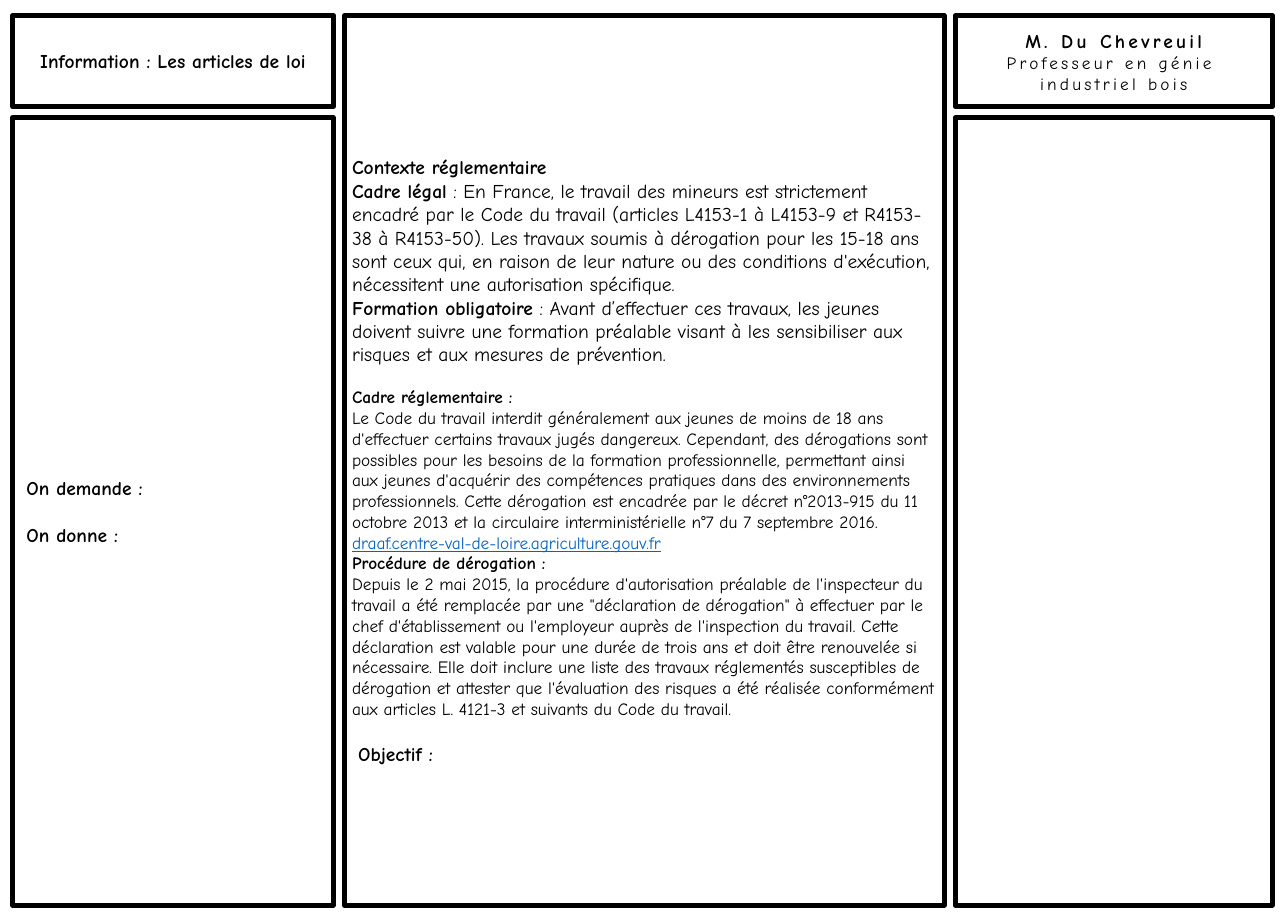
"""Build the law-articles information sheet with its framed panels."""
from dataclasses import dataclass

from pptx import Presentation
from pptx.dml.color import RGBColor
from pptx.enum.shapes import MSO_SHAPE
from pptx.enum.text import MSO_ANCHOR, PP_ALIGN
from pptx.slide import Slide
from pptx.text.text import _Paragraph
from pptx.util import Cm, Pt

RECTANGLE = MSO_SHAPE.RECTANGLE
MIDDLE = MSO_ANCHOR.MIDDLE
LEFT, CENTER = PP_ALIGN.LEFT, PP_ALIGN.CENTER


@dataclass(frozen=True)
class Theme:
    font: str = "Comic Neue"
    ink: RGBColor = RGBColor(0x00, 0x00, 0x00)
    paper: RGBColor = RGBColor(0xFF, 0xFF, 0xFF)
    link: RGBColor = RGBColor(0x05, 0x63, 0xC1)
    large: float = 18
    small: float = 16
    large_gap: float = 21.5
    small_gap: float = 19.2
    border: float = 4.5


@dataclass(frozen=True)
class Span:
    text: str
    size: float
    bold: bool = False
    link: bool = False
    tracking: float = 0


@dataclass(frozen=True)
class Para:
    spans: tuple[Span, ...]
    align: PP_ALIGN = LEFT
    indent: float = 0
    before: float = 0


@dataclass(frozen=True)
class Panel:
    left: float
    top: float
    width: float
    height: float
    paras: tuple[Para, ...] = ()


THEME = Theme()
LARGE, SMALL = THEME.large, THEME.small
INDENT = 0.2
TRACKING = 3

MARGIN, TOP, GAP = 0.41, 0.51, 0.36
SIDE_W, CENTER_W, RIGHT_W = 10.46, 19.56, 10.34
CENTER_X = MARGIN + SIDE_W + GAP
RIGHT_X = CENTER_X + CENTER_W + GAP
FULL_H, HEAD_H = 29.01, 2.97
BODY_Y = TOP + HEAD_H + GAP
BODY_H = FULL_H - HEAD_H - GAP

REGULATION = (
    Para((Span("Contexte réglementaire", LARGE, bold=True),)),
    Para((
        Span("Cadre légal", LARGE, bold=True),
        Span(" : En France, le travail des mineurs est strictement encadré par le Code du "
             "travail (articles L4153-1 à L4153-9 et R4153-38 à R4153-50). Les travaux soumis "
             "à dérogation pour les 15-18 ans sont ceux qui, en raison de leur nature ou des "
             "conditions d'exécution, nécessitent une autorisation spécifique.", LARGE),
    )),
    Para((
        Span("Formation obligatoire", LARGE, bold=True),
        Span(" : Avant d’effectuer ces travaux, les jeunes doivent suivre une formation "
             "préalable visant à les sensibiliser aux risques et aux mesures de prévention.",
             LARGE),
    )),
    Para((Span("Cadre réglementaire :", SMALL, bold=True),), before=THEME.small_gap),
    Para((
        Span("Le Code du travail interdit généralement aux jeunes de moins de 18 ans "
             "d'effectuer certains travaux jugés dangereux. Cependant, des dérogations sont "
             "possibles pour les besoins de la formation professionnelle, permettant ainsi aux "
             "jeunes d'acquérir des compétences pratiques dans des environnements "
             "professionnels. Cette dérogation est encadrée par le décret n°2013-915 du 11 "
             "octobre 2013 et la circulaire interministérielle n°7 du 7 septembre 2016. ",
             SMALL),
        Span("draaf.centre-val-de-loire.agriculture.gouv.fr", SMALL, link=True),
    )),
    Para((Span("Procédure de dérogation :", SMALL, bold=True),)),
    Para((
        Span("Depuis le 2 mai 2015, la procédure d'autorisation préalable de l'inspecteur du "
             "travail a été remplacée par une \"déclaration de dérogation\" à effectuer par le "
             "chef d'établissement ou l'employeur auprès de l'inspection du travail. Cette "
             "déclaration est valable pour une durée de trois ans et doit être renouvelée si "
             "nécessaire. Elle doit inclure une liste des travaux réglementés susceptibles de "
             "dérogation et attester que l'évaluation des risques a été réalisée conformément "
             "aux articles L. 4121-3 et suivants du Code du travail.", SMALL),
    )),
    Para((Span("Objectif :", LARGE, bold=True),), indent=INDENT, before=THEME.large_gap),
)
TASK = (
    Para((Span("On demande :", LARGE, bold=True),), indent=INDENT),
    Para((Span("On donne :", LARGE, bold=True),), indent=INDENT, before=THEME.large_gap),
)
TEACHER = (
    Para((Span("M. Du Chevreuil", LARGE, bold=True, tracking=TRACKING),), CENTER),
    Para((Span("Professeur en génie ", SMALL, tracking=TRACKING),), CENTER),
    Para((Span("industriel bois", SMALL, tracking=TRACKING),), CENTER),
)
TITLE = (Para((Span("Information : Les articles de loi", LARGE, bold=True),), CENTER),)

PANELS = (
    Panel(CENTER_X, TOP, CENTER_W, FULL_H, REGULATION),
    Panel(MARGIN, BODY_Y, SIDE_W, BODY_H, TASK),
    Panel(RIGHT_X, BODY_Y, RIGHT_W, BODY_H),
    Panel(RIGHT_X, TOP, RIGHT_W, HEAD_H, TEACHER),
    Panel(MARGIN, TOP, SIDE_W, HEAD_H, TITLE),
)


def add_text(p: _Paragraph, text: str, *, size: float, bold: bool = False,
             link: bool = False, tracking: float = 0) -> None:
    """Append one formatted run to a paragraph."""
    r = p.add_run()
    r.text = text
    r.font.name = THEME.font
    r.font.size = Pt(size)
    r.font.bold = bold
    r.font.underline = link
    r.font.color.rgb = THEME.link if link else THEME.ink
    if tracking:
        r._r.get_or_add_rPr().set("spc", str(int(tracking * 100)))


def add_panel(s: Slide, panel: Panel) -> None:
    """Draw one framed panel with its paragraphs."""
    sp = s.shapes.add_shape(RECTANGLE, Cm(panel.left), Cm(panel.top),
                            Cm(panel.width), Cm(panel.height))
    sp.shadow.inherit = False
    sp.fill.solid()
    sp.fill.fore_color.rgb = THEME.paper
    sp.line.color.rgb = THEME.ink
    sp.line.width = Pt(THEME.border)
    tf = sp.text_frame
    tf.word_wrap = True
    tf.vertical_anchor = MIDDLE
    for i, para in enumerate(panel.paras):
        p = tf.add_paragraph() if i else tf.paragraphs[0]
        p.alignment = para.align
        p.space_before = Pt(para.before)
        if para.indent:
            p._p.get_or_add_pPr().set("marL", str(Cm(para.indent)))
        for span in para.spans:
            add_text(p, span.text, size=span.size, bold=span.bold,
                     link=span.link, tracking=span.tracking)


def main() -> None:
    """Create the sheet and save it."""
    prs = Presentation()
    prs.slide_width, prs.slide_height = Cm(42), Cm(30)
    s = prs.slides.add_slide(prs.slide_layouts[6])
    for panel in PANELS:
        add_panel(s, panel)
    prs.save("out.pptx")


if __name__ == "__main__":
    main()
